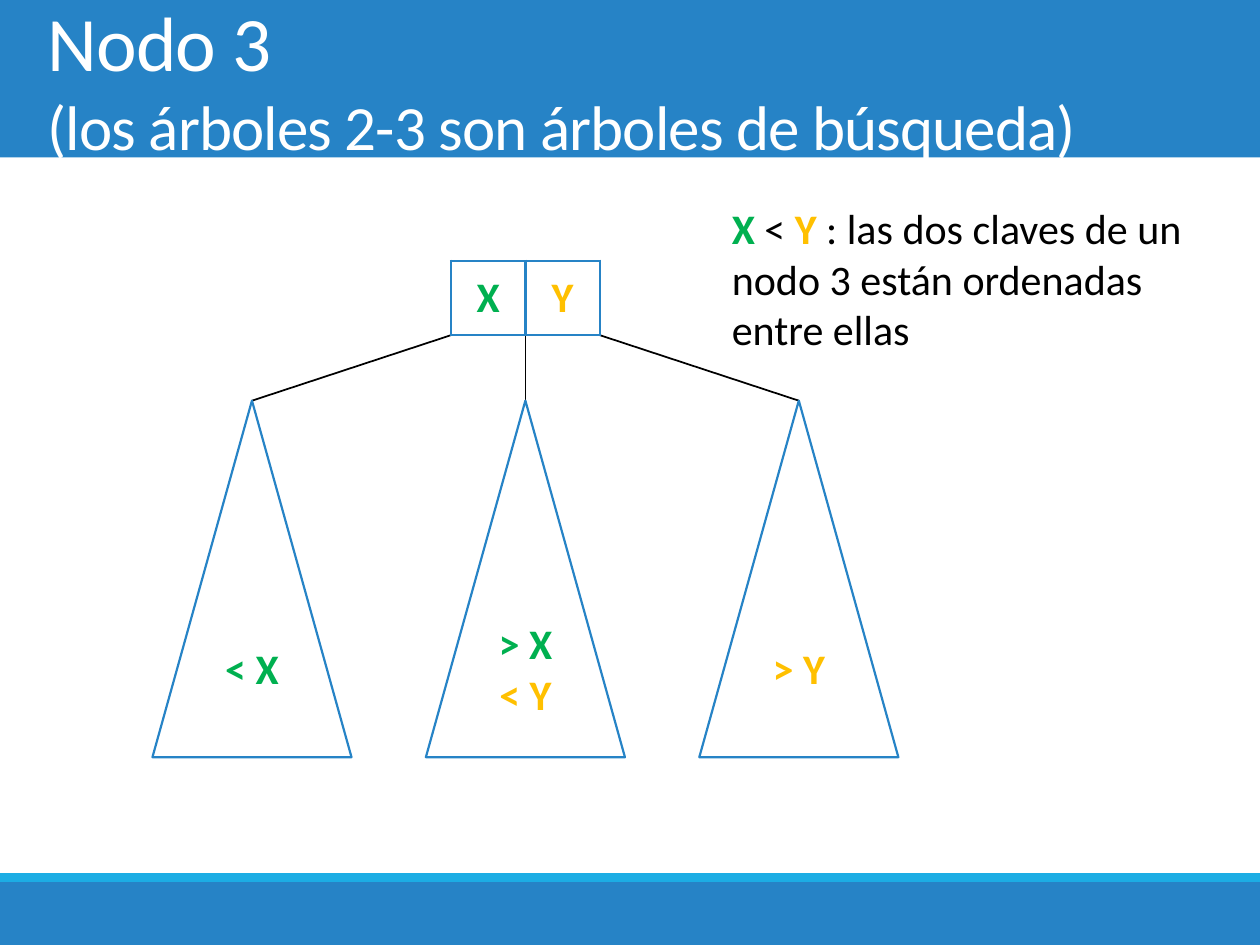
from pptx import Presentation
from pptx.dml.color import RGBColor
from pptx.enum.shapes import MSO_CONNECTOR as CONN, MSO_SHAPE as SHAPE
from pptx.enum.text import MSO_ANCHOR as ANCHOR, PP_ALIGN as ALIGN
from pptx.oxml.ns import qn
from pptx.util import Inches, Pt
from lxml.etree import SubElement

BLUE = RGBColor(0x26, 0x83, 0xC6)
CYAN = RGBColor(0x1C, 0xAD, 0xE4)
GREEN = RGBColor(0x00, 0xB0, 0x50)
GOLD = RGBColor(0xFF, 0xC0, 0x00)
BLACK = RGBColor(0, 0, 0)
WHITE = RGBColor(0xFF, 0xFF, 0xFF)

W, H = 10, 7.5
CELL = 0.59                                  # side of a key cell
TREE_W, TREE_H, PITCH = 1.58, 2.83, 2.17     # subtree size and column step


def box(x, y, w, h):
    return [Inches(v) for v in (x, y, w, h)]


def add_run(p, text, color, size=24, bold=True):
    r = p.add_run()
    r.text = text
    fmt = {"name": "Calibri", "size": Pt(size), "bold": bold}
    for key, value in fmt.items():
        setattr(r.font, key, value)
    r.font.color.rgb = color
    return r


def add_shape(s, kind, x, y, w, h, fill, line=None):
    sp = s.shapes.add_shape(kind, *box(x, y, w, h))
    sp.shadow.inherit = False
    sp.fill.solid()
    sp.fill.fore_color.rgb = fill
    if line is None:
        sp.line.fill.background()
    else:
        sp.line.color.rgb = line
        sp.line.width = Pt(1.25)
    return sp


def add_text(s, x, y, w, h, **fmt):
    tf = s.shapes.add_textbox(*box(x, y, w, h)).text_frame
    for key, value in fmt.items():
        setattr(tf, key, value)
    return tf


def add_branch(s, x1, y1, x2, y2):
    c = s.shapes.add_connector(CONN.STRAIGHT, *box(x1, y1, x2, y2))
    c.line.color.rgb = BLACK
    c.line.width = Pt(1)
    SubElement(c._element.spPr, qn("a:effectLst"))


def add_bands(s):
    for y, h, color in ((0, 1.25, BLUE), (7, 0.5, BLUE), (6.93, 0.07, CYAN)):
        add_shape(s, SHAPE.RECTANGLE, 0, y, W, h, color)


def add_title(s, x, y, w, h):
    tf = add_text(s, x, y, w, h, word_wrap=True, vertical_anchor=ANCHOR.MIDDLE)
    p = tf.paragraphs[0]
    runs = [add_run(p, "Nodo 3", WHITE, 44, False)]
    p.add_line_break()
    runs.append(add_run(p, "(los árboles 2-3 son árboles de búsqueda)", WHITE, 36, False))
    for r in runs:
        r._r.get_or_add_rPr().set("spc", "-50")


def add_keys(s, x, y, keys):
    """Node: a one-row table with a bordered cell for each key."""
    tbl = s.shapes.add_table(1, len(keys), *box(x, y, CELL * len(keys), CELL)).table
    tbl.first_row = tbl.horz_banding = False
    for cell, (text, color) in zip(tbl.iter_cells(), keys):
        cell.vertical_anchor = ANCHOR.MIDDLE
        tc_pr = cell._tc.get_or_add_tcPr()
        for side in ("lnL", "lnR", "lnT", "lnB"):
            ln = SubElement(tc_pr, qn(f"a:{side}"), w=str(Pt(1.5)))
            SubElement(SubElement(ln, qn("a:solidFill")), qn("a:srgbClr"), val=str(BLUE))
        cell.fill.solid()
        cell.fill.fore_color.rgb = WHITE
        p = cell.text_frame.paragraphs[0]
        p.alignment = ALIGN.CENTER
        add_run(p, text, color)


def add_subtree(s, x, y, labels):
    sp = add_shape(s, SHAPE.ISOSCELES_TRIANGLE, x, y, TREE_W, TREE_H, WHITE, BLUE)
    tf = sp.text_frame
    tf.vertical_anchor = ANCHOR.MIDDLE
    p = tf.paragraphs[0]
    p.alignment = ALIGN.CENTER
    for text, color in labels:
        add_run(p, text, color)


def add_tree(s, x, y):
    """Node on top, one subtree below each of its left, middle and right edges."""
    subtrees = ([("< X", GREEN)], [("> X ", GREEN), ("< Y", GOLD)], [("> Y", GOLD)])
    node_x = x + PITCH + TREE_W / 2 - CELL
    node_bottom, tree_top = y + CELL, y + 1.11
    for i, labels in enumerate(subtrees):
        left = x + i * PITCH
        add_branch(s, node_x + i * CELL, node_bottom, left + TREE_W / 2, tree_top)
        add_subtree(s, left, tree_top, labels)
    add_keys(s, node_x, y, [("X", GREEN), ("Y", GOLD)])


def add_note(s, x, y, w, h):
    tf = add_text(s, x, y, w, h, word_wrap=False)
    p = tf.paragraphs[0]
    for text, color in (("X", GREEN), (" < ", BLACK), ("Y", GOLD),
                        (" : las dos claves de un", BLACK)):
        add_run(p, text, color, bold=color != BLACK)
    for text in ("nodo 3 están ordenadas", "entre ellas"):
        add_run(tf.add_paragraph(), text, BLACK, bold=False)


prs = Presentation()
prs.slide_width, prs.slide_height = Inches(W), Inches(H)
s = prs.slides.add_slide(prs.slide_layouts[6])
add_bands(s)
add_title(s, 0.28, 0, 9.45, 1.25)
add_tree(s, 1.21, 2.07)
add_note(s, 5.71, 1.56, 3.92, 1.31)
prs.save("out.pptx")
